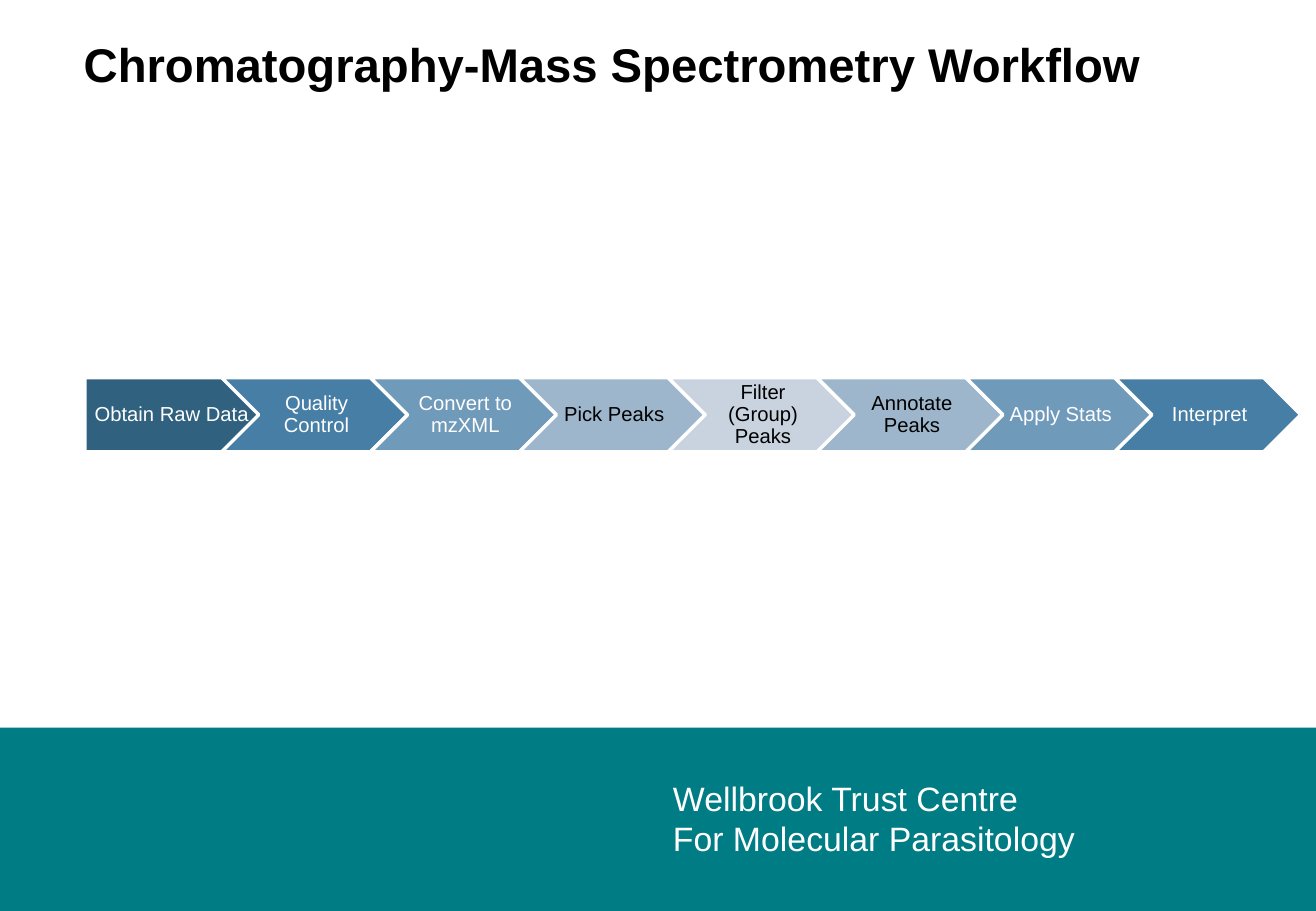
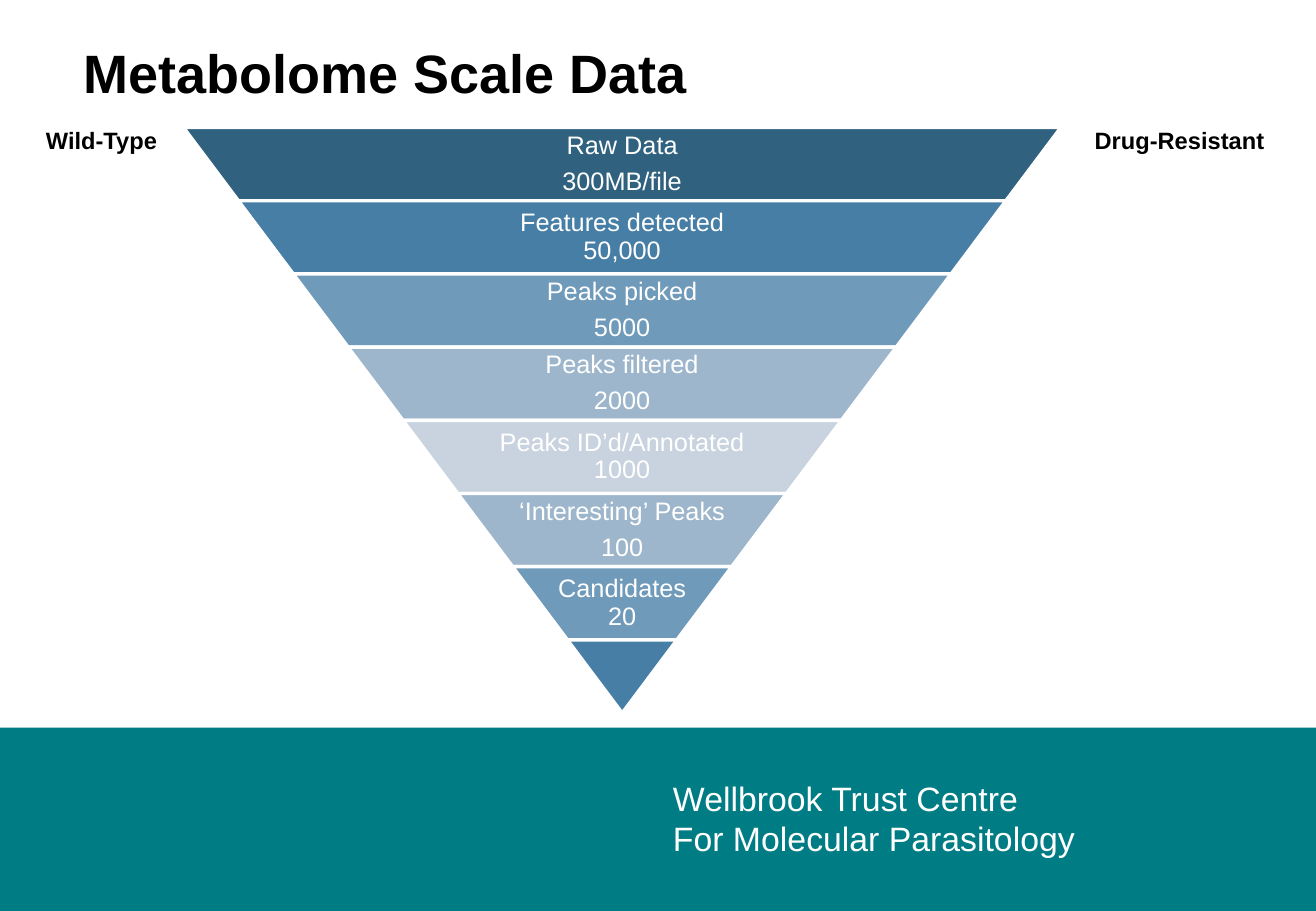
from pptx import Presentation
from pptx.dml.color import RGBColor
from pptx.enum.shapes import MSO_SHAPE
from pptx.enum.text import MSO_ANCHOR, PP_ALIGN
from pptx.util import Inches, Pt

WIDTH, HEIGHT = 10.83, 7.5
FONT = "Arial"
COLORS = {
    "white": "FFFFFF", "black": "000000", "teal": "007C85",
    "navy": "30617F", "blue": "467EA5", "steel": "6F9ABA",
    "mist": "9DB6CB", "pale": "C8D3DF",
}
# Shades fade to the palest step and then darken again.
SHADES = ["navy", "blue", "steel", "mist", "pale", "mist", "steel", "blue"]

FOOTER = ["Wellbrook Trust Centre", "For Molecular Parasitology"]
BAND_TOP = 5.99

WORKFLOW_TITLE = "Chromatography-Mass Spectrometry Workflow"
STEPS = [
    "Obtain Raw Data", "Quality Control", "Convert to mzXML", "Pick Peaks",
    "Filter (Group) Peaks", "Annotate Peaks", "Apply Stats", "Interpret",
]
DARK_TEXT_SHADES = ("mist", "pale")
STEP_LEFT, STEP_TOP, STEP_WIDTH, STEP_HEIGHT = 0.7, 3.11, 1.53, 0.61
STEP_OVERLAP = 0.5 * STEP_HEIGHT
STEP_PITCH = STEP_WIDTH - STEP_OVERLAP
FIRST_CHEVRON_SHIFT = -0.1

FUNNEL_TITLE = "Metabolome Scale Data"
# Label, count, space between them in points
TIERS = [
    ("Raw Data", "300MB/file", 5.2),
    ("Features detected", "50,000", 0),
    ("Peaks picked", "5000", 5.2),
    ("Peaks filtered", "2000", 5.2),
    ("Peaks ID’d/Annotated", "1000", 0),
    ("‘Interesting’ Peaks", "100", 5.2),
    ("Candidates", "20", 0),
    None,
]
FUNNEL_CENTRE, FUNNEL_TOP, FUNNEL_WIDTH, FUNNEL_HEIGHT = 5.12, 1.05, 7.22, 4.82
TIER_TEXT_SHARE = 0.65
SAMPLES = [("Wild-Type", 0.28), ("Drug-Resistant", 8.91)]


def write(shape, lines, size, color="black", bold=False, insets=(0.1, 0.05, 0.1, 0.05),
          anchor=MSO_ANCHOR.TOP, **paragraph_format):
    """Fill the shape with one paragraph per line, all in the same style."""
    frame = shape.text_frame
    frame.word_wrap = True
    frame.vertical_anchor = anchor
    for side, inset in zip(("left", "top", "right", "bottom"), insets):
        setattr(frame, f"margin_{side}", Inches(inset))
    frame.text = "\n".join(lines)
    font_format = {"name": FONT, "size": Pt(size), "bold": bold}
    for paragraph in frame.paragraphs:
        for name, value in paragraph_format.items():
            setattr(paragraph, name, value)
        for name, value in font_format.items():
            setattr(paragraph.font, name, value)
        paragraph.font.color.rgb = RGBColor.from_string(COLORS[color])


def add_text(slide, box, lines, size, **style):
    textbox = slide.shapes.add_textbox(*map(Inches, box))
    write(textbox, lines, size, **style)
    return textbox


def add_block(slide, kind, box, color, outlined=True):
    shape = slide.shapes.add_shape(kind, *map(Inches, box))
    shape.shadow.inherit = False
    shape.fill.solid()
    shape.fill.fore_color.rgb = RGBColor.from_string(COLORS[color])
    if outlined:
        shape.line.color.rgb = RGBColor.from_string(COLORS["white"])
        shape.line.width = Pt(2)
    else:
        shape.line.fill.background()
    return shape


def put_band_on_layout(slide):
    """Draw the footer band and move it to the layout all slides share."""
    layout = slide.slide_layout
    for placeholder in list(layout.placeholders):
        layout.shapes.element.remove(placeholder.element)
    band = add_block(slide, MSO_SHAPE.RECTANGLE, (0, BAND_TOP, WIDTH, HEIGHT - BAND_TOP),
                     "teal", outlined=False)
    name = add_text(slide, (5.44, 6.35, 3.74, 0.77), FOOTER, 20, color="white")
    for shape in (band, name):
        layout.shapes.element.append(shape.element)


def add_title(slide, title, size):
    add_text(slide, (0.59, 0.01, 9.62, 0.81), [title], size, bold=True, line_spacing=1.5)


def build_workflow(slide):
    add_title(slide, WORKFLOW_TITLE, 28)
    for index, (step, shade) in enumerate(zip(STEPS, SHADES)):
        left = STEP_LEFT + index * STEP_PITCH
        kind, insets = MSO_SHAPE.CHEVRON, (0.04, 0.03, 0.01, 0.03)
        if index == 0:
            kind, insets = MSO_SHAPE.PENTAGON, (0.06, 0.03, 0.01, 0.03)
        else:
            left += FIRST_CHEVRON_SHIFT
        shape = add_block(slide, kind, (left, STEP_TOP, STEP_WIDTH, STEP_HEIGHT), shade)
        shape.adjustments[0] = 0.5
        write(shape, [step], 12, color="black" if shade in DARK_TEXT_SHADES else "white",
              insets=insets, anchor=MSO_ANCHOR.MIDDLE,
              alignment=PP_ALIGN.CENTER, line_spacing=0.9)


def build_funnel(slide):
    add_title(slide, FUNNEL_TITLE, 32)
    tier_height = FUNNEL_HEIGHT / len(TIERS)
    for index, (tier, shade) in enumerate(zip(TIERS, SHADES)):
        top = FUNNEL_TOP + index * tier_height
        width = FUNNEL_WIDTH * (1 - index / len(TIERS))
        shape = add_block(slide, MSO_SHAPE.TRAPEZOID,
                          (FUNNEL_CENTRE - width / 2, top, width, tier_height), shade)
        shape.rotation = 180
        shape.adjustments[0] = 0.75
        if tier:
            label, count, gap = tier
            text_width = width * TIER_TEXT_SHARE
            textbox = add_text(
                slide, (FUNNEL_CENTRE - text_width / 2, top, text_width, tier_height),
                [label, count], 15, color="white", insets=(0.02,) * 4,
                anchor=MSO_ANCHOR.MIDDLE, alignment=PP_ALIGN.CENTER, line_spacing=0.9)
            textbox.text_frame.paragraphs[1].space_before = Pt(gap)
    for sample, left in SAMPLES:
        add_text(slide, (left, 0.99, 1.76, 0.34), [sample], 14, bold=True)


def main():
    presentation = Presentation()
    presentation.slide_width, presentation.slide_height = Inches(WIDTH), Inches(HEIGHT)
    blank = presentation.slide_layouts[6]
    workflow, funnel = (presentation.slides.add_slide(blank) for _ in range(2))
    put_band_on_layout(workflow)
    build_workflow(workflow)
    build_funnel(funnel)
    presentation.save("out.pptx")


if __name__ == "__main__":
    main()
